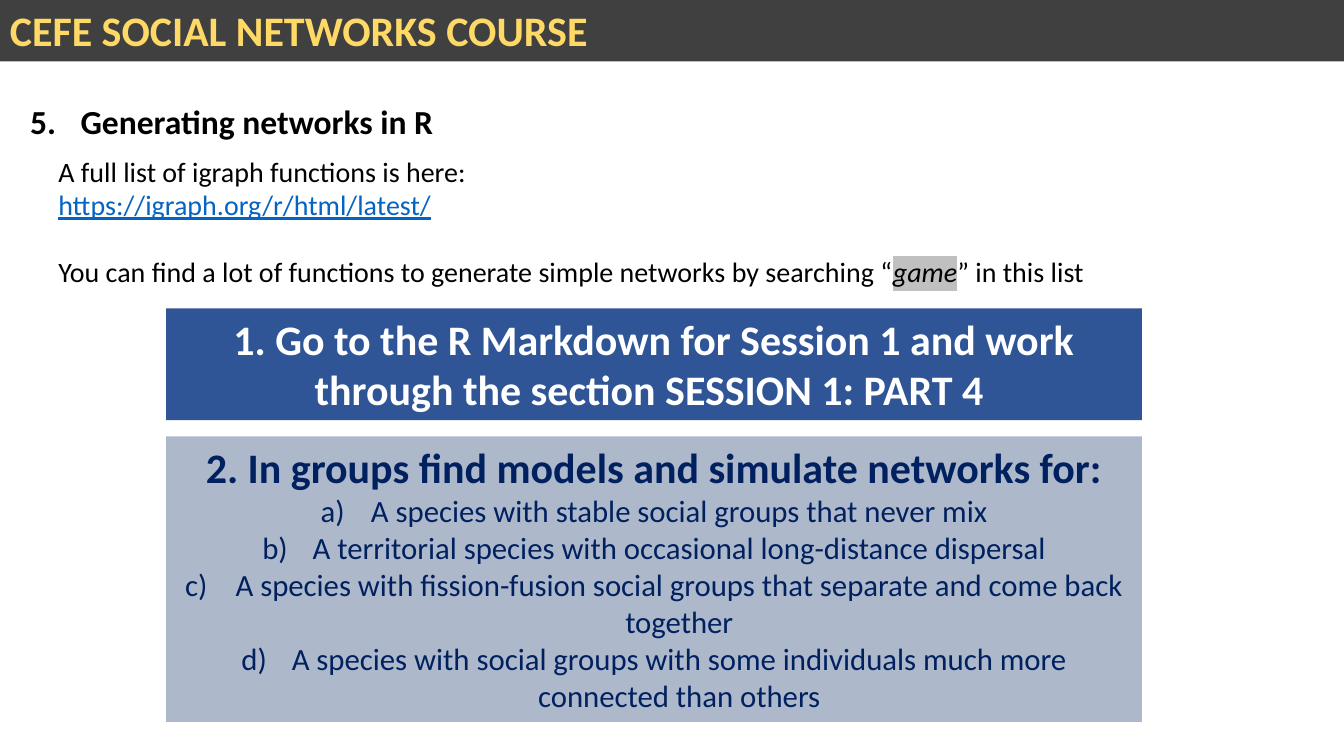
from dataclasses import dataclass

from lxml.etree import SubElement
from pptx import Presentation
from pptx.dml.color import RGBColor
from pptx.enum.shapes import MSO_SHAPE
from pptx.enum.text import MSO_ANCHOR, PP_ALIGN
from pptx.oxml.ns import qn
from pptx.util import Cm, Pt


@dataclass
class Bit:
    text: str
    color: str = ""
    under: bool = False
    slant: bool = False
    mark: str = ""
    brk: bool = False


@dataclass
class Line:
    bits: list[Bit]
    size: int
    color: str
    bold: bool = False
    list_type: str = ""
    start: int = 1
    align: PP_ALIGN = PP_ALIGN.LEFT
    gap: int = 0


@dataclass
class Box:
    left: float
    top: float
    width: float
    height: float
    lines: list[Line]
    fill: str = ""


def paint(color: str) -> RGBColor:
    return RGBColor.from_string(color)


def add_bit(para, bit: Bit) -> None:
    run = para.add_run()
    run.text = bit.text
    if bit.color:
        run.font.color.rgb = paint(bit.color)
    if bit.under:
        run.font.underline = True
    if bit.slant:
        run.font.italic = True
    if bit.mark:
        light = SubElement(run.font._element, qn("a:highlight"))
        SubElement(light, qn("a:srgbClr"), val=bit.mark)
    if bit.brk:
        para.add_line_break()


def add_line(para, line: Line) -> None:
    para.alignment = line.align
    if line.gap:
        para.space_before = Pt(line.gap)
    if line.list_type:
        props = para._p.get_or_add_pPr()
        props.set("marL", str(Cm(1.27)))
        props.set("indent", str(-Cm(1.27)))
        SubElement(props, qn("a:buFont"), typeface="+mj-lt")
        SubElement(props, qn("a:buAutoNum"), type=line.list_type, startAt=str(line.start))
    font = para.font
    font.name = "Calibri"
    font.size = Pt(line.size)
    font.bold = line.bold
    font.color.rgb = paint(line.color)
    for bit in line.bits:
        add_bit(para, bit)


def add_box(slide, box: Box) -> None:
    place = Cm(box.left), Cm(box.top), Cm(box.width), Cm(box.height)
    if box.fill:
        shape = slide.shapes.add_shape(MSO_SHAPE.RECTANGLE, *place)
        shape.shadow.inherit = False
        shape.fill.solid()
        shape.fill.fore_color.rgb = paint(box.fill)
        shape.line.fill.background()
    else:
        shape = slide.shapes.add_textbox(*place)
    frame = shape.text_frame
    frame.word_wrap = True
    frame.vertical_anchor = MSO_ANCHOR.TOP
    for num, line in enumerate(box.lines):
        add_line(frame.add_paragraph() if num else frame.paragraphs[0], line)


BLACK, WHITE, NAVY = "000000", "FFFFFF", "002060"
MID = PP_ALIGN.CENTER
WIDE, HIGH = 33.87, 19.05
LEFT, SPAN = 4.19, 24.59

TASKS = [
    "A species with stable social groups that never mix",
    "A territorial species with occasional long-distance dispersal",
    "A species with fission-fusion social groups that separate and come back together",
    "A species with social groups with some individuals much more connected than others",
]

BOXES = [
    Box(0, 0, WIDE, 1.55,
        [Line([Bit("CEFE SOCIAL NETWORKS COURSE")], 30, "FFD966", True)], "404040"),
    Box(0.51, 2.41, 32.46, 2.31,
        [Line([Bit("Generating networks in R")], 24, BLACK, True, "arabicPeriod", 5)]),
    Box(1.22, 3.76, 31.8, 3.68, [
        Line([
            Bit("A full list of igraph functions is here:", brk=True),
            Bit("https://igraph.org/r/html/latest/", "0563C1", under=True),
        ], 20, BLACK),
        Line([
            Bit("You can find a lot of functions to generate simple networks by searching “"),
            Bit("game", slant=True, mark="C0C0C0"),
            Bit("” in this list"),
        ], 20, BLACK, gap=24),
    ]),
    Box(LEFT, 7.77, SPAN, 2.82, [
        Line([Bit("1. Go to the R Markdown for Session 1 and work through "
                  "the section SESSION 1: PART 4 ")], 30, WHITE, True, align=MID),
    ], "2F5597"),
    Box(LEFT, 11, SPAN, 7.19, [
        Line([Bit("2. In groups find models and simulate networks for:")],
             30, NAVY, True, align=MID),
        *(Line([Bit(task)], 22, NAVY, list_type="alphaLcParenR", align=MID)
          for task in TASKS),
    ], "ADB9CA"),
]


def main() -> None:
    deck = Presentation()
    deck.slide_width, deck.slide_height = Cm(WIDE), Cm(HIGH)
    slide = deck.slides.add_slide(deck.slide_layouts[6])
    for box in BOXES:
        add_box(slide, box)
    deck.save("out.pptx")


if __name__ == "__main__":
    main()
